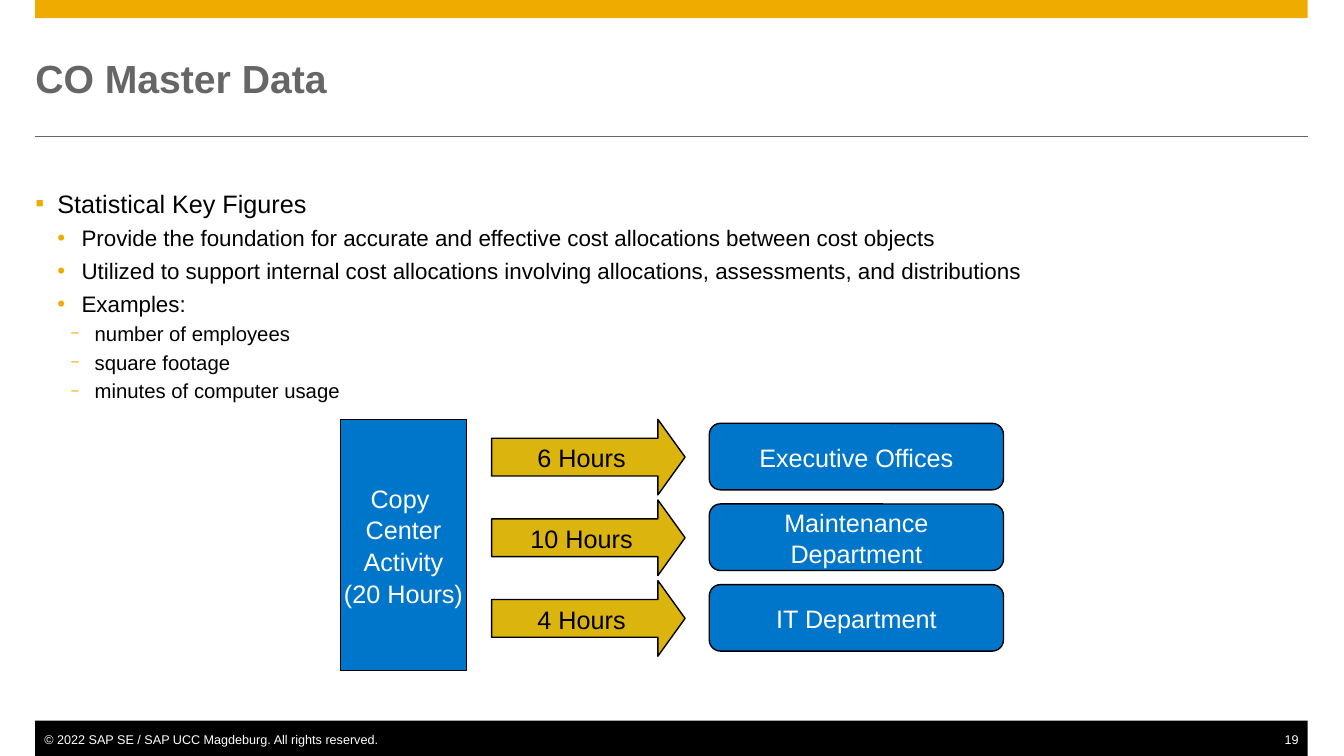
from lxml import etree
from pptx import Presentation
from pptx.dml.color import RGBColor
from pptx.enum.shapes import MSO_CONNECTOR, MSO_SHAPE
from pptx.enum.text import MSO_ANCHOR, MSO_AUTO_SIZE, PP_ALIGN
from pptx.oxml.ns import qn
from pptx.util import Pt

TITLE = "CO Master Data"
BULLETS = [
    (0, "Statistical Key Figures"),
    (1, "Provide the foundation for accurate and effective cost allocations between cost objects"),
    (1, "Utilized to support internal cost allocations involving allocations, assessments, "
        "and distributions"),
    (1, "Examples:"),
    (2, "number of employees"),
    (2, "square footage"),
    (2, "minutes of computer usage"),
]
SENDER = ["Copy ", "Center", "Activity", "(20 Hours)"]
ALLOCATIONS = [
    ("6 Hours", ["Executive Offices"]),
    ("10 Hours", ["Maintenance", "Department"]),
    ("4 Hours", ["IT Department"]),
]
COPYRIGHT = "© 2022 SAP SE / SAP UCC Magdeburg. All rights reserved."
PAGE_NUMBER = "19"

GOLD = RGBColor(0xF0, 0xAB, 0x00)
ARROW_GOLD = RGBColor(0xDB, 0xB4, 0x0D)
BLUE = RGBColor(0x00, 0x76, 0xCB)
GREY = RGBColor(0x66, 0x66, 0x66)
BLACK = RGBColor(0, 0, 0)
WHITE = RGBColor(255, 255, 255)

RECTANGLE = MSO_SHAPE.RECTANGLE
ROUNDED = MSO_SHAPE.ROUNDED_RECTANGLE
ARROW = MSO_SHAPE.RIGHT_ARROW
STRAIGHT = MSO_CONNECTOR.STRAIGHT
LEFT, CENTER, RIGHT = PP_ALIGN.LEFT, PP_ALIGN.CENTER, PP_ALIGN.RIGHT
TOP, MIDDLE = MSO_ANCHOR.TOP, MSO_ANCHOR.MIDDLE
NO_AUTOFIT = MSO_AUTO_SIZE.NONE

# One entry per level: size and space in pt, indents in px, bullet size in percent
LEVELS = [
    {"size": 18, "before": 0, "margin": 22, "hanging": 22, "bullet": "▪", "percent": 100},
    {"size": 16, "before": 3.4, "margin": 46, "hanging": 24, "bullet": "•", "percent": 100},
    {"size": 14.5, "before": 2.2, "margin": 59, "hanging": 24, "bullet": "−", "percent": 75},
]
EMU_PER_PX = 9144  # 100 px to the inch
SLIDE_WIDTH, SLIDE_HEIGHT = 1334, 750
MARGIN, CONTENT_WIDTH = 35, 1263
DIAGRAM_TOP, ROW_PITCH = 416, 80
LINE_SPACING = 1.05


def px(*lengths):
    return [round(length * EMU_PER_PX) for length in lengths]


def set_all(target, values):
    for name, value in values.items():
        setattr(target, name, value)


def write_paragraph(paragraph, text, size, color, alignment=LEFT, bold=False):
    set_all(paragraph, {"alignment": alignment, "line_spacing": LINE_SPACING})
    run = paragraph.add_run()
    run.text = text
    set_all(run.font, {"name": "Arial", "size": Pt(size), "bold": bold})
    run.font.color.rgb = color


def set_frame(frame, anchor, wrap, insets=(0, 0)):
    """Set anchor, wrapping and the left and right insets in px."""
    left, right = px(*insets)
    set_all(frame, {
        "auto_size": NO_AUTOFIT, "vertical_anchor": anchor, "word_wrap": wrap,
        "margin_left": left, "margin_right": right, "margin_top": 0, "margin_bottom": 0,
    })


def place(shape, *box):
    set_all(shape, dict(zip(("left", "top", "width", "height"), px(*box))))


def add_block(slide, kind, box, fill, lines=(), color=WHITE, outlined=True, adjustments=()):
    shape = slide.shapes.add_shape(kind, *px(*box))
    shape.shadow.inherit = False
    shape.fill.solid()
    shape.fill.fore_color.rgb = fill
    if outlined:
        shape.line.color.rgb = BLACK
        shape.line.width = Pt(1)
    else:
        shape.line.fill.background()
    for index, value in enumerate(adjustments):
        shape.adjustments[index] = value
    frame = shape.text_frame
    set_frame(frame, MIDDLE, False, (10, 10))
    for index, text in enumerate(lines):
        paragraph = frame.add_paragraph() if index else frame.paragraphs[0]
        write_paragraph(paragraph, text, 18, color, CENTER)


def add_bullet(paragraph, level):
    margin, hanging = px(level["margin"], level["hanging"])
    properties = paragraph._p.get_or_add_pPr()
    properties.set("marL", str(margin))
    properties.set("indent", str(-hanging))
    bullet_color = etree.SubElement(properties, qn("a:buClr"))
    etree.SubElement(bullet_color, qn("a:srgbClr"), val=str(GOLD))
    etree.SubElement(properties, qn("a:buSzPct"), val=str(level["percent"] * 1000))
    etree.SubElement(properties, qn("a:buFont"), typeface="Arial")
    etree.SubElement(properties, qn("a:buChar"), char=level["bullet"])


def add_page_frame(slide):
    for top, height, color in [(0, 18, GOLD), (715, 35, BLACK)]:
        add_block(slide, RECTANGLE, (MARGIN, top, CONTENT_WIDTH, height), color, outlined=False)
    rule = slide.shapes.add_connector(
        STRAIGHT, *px(MARGIN, 135, MARGIN + CONTENT_WIDTH, 135))
    rule.line.color.rgb = GREY
    rule.line.width = Pt(0.5)
    etree.SubElement(rule._element.spPr, qn("a:effectLst"))
    for text, left, width, alignment, insets in [
        (COPYRIGHT, MARGIN, 345, LEFT, (9, 0)),
        (PAGE_NUMBER, 1273, 25, RIGHT, (0, 9)),
    ]:
        frame = slide.shapes.add_textbox(*px(left, 725, width, 15)).text_frame
        set_frame(frame, TOP, False, insets)
        write_paragraph(frame.paragraphs[0], text, 9, WHITE, alignment)


def fill_placeholders(slide):
    title, body = slide.placeholders
    place(title, MARGIN, 35, CONTENT_WIDTH, 83)
    set_frame(title.text_frame, MIDDLE, True)
    write_paragraph(title.text_frame.paragraphs[0], TITLE, 28, GREY, bold=True)

    place(body, MARGIN, 185, CONTENT_WIDTH, 480)
    frame = body.text_frame
    set_frame(frame, TOP, True)
    for index, (depth, text) in enumerate(BULLETS):
        level = LEVELS[depth]
        paragraph = frame.add_paragraph() if index else frame.paragraphs[0]
        add_bullet(paragraph, level)
        set_all(paragraph, {"level": depth, "space_before": Pt(level["before"])})
        write_paragraph(paragraph, text, level["size"], BLACK)


def add_allocation_diagram(slide):
    add_block(slide, RECTANGLE, (338, DIAGRAM_TOP, 125, 249), BLUE, SENDER)
    for row, (hours, receiver) in enumerate(ALLOCATIONS):
        top = DIAGRAM_TOP + row * ROW_PITCH
        add_block(slide, ARROW, (488, top, 192, 75), ARROW_GOLD, [hours], BLACK,
                  adjustments=(0.5, 0.36))
        add_block(slide, ROUNDED, (704, top + 4, 292, 66), BLUE, receiver,
                  adjustments=(0.17,))


def main():
    presentation = Presentation()
    width, height = px(SLIDE_WIDTH, SLIDE_HEIGHT)
    set_all(presentation, {"slide_width": width, "slide_height": height})
    slide = presentation.slides.add_slide(presentation.slide_layouts[1])
    add_page_frame(slide)
    fill_placeholders(slide)
    add_allocation_diagram(slide)
    presentation.save("out.pptx")


if __name__ == "__main__":
    main()
